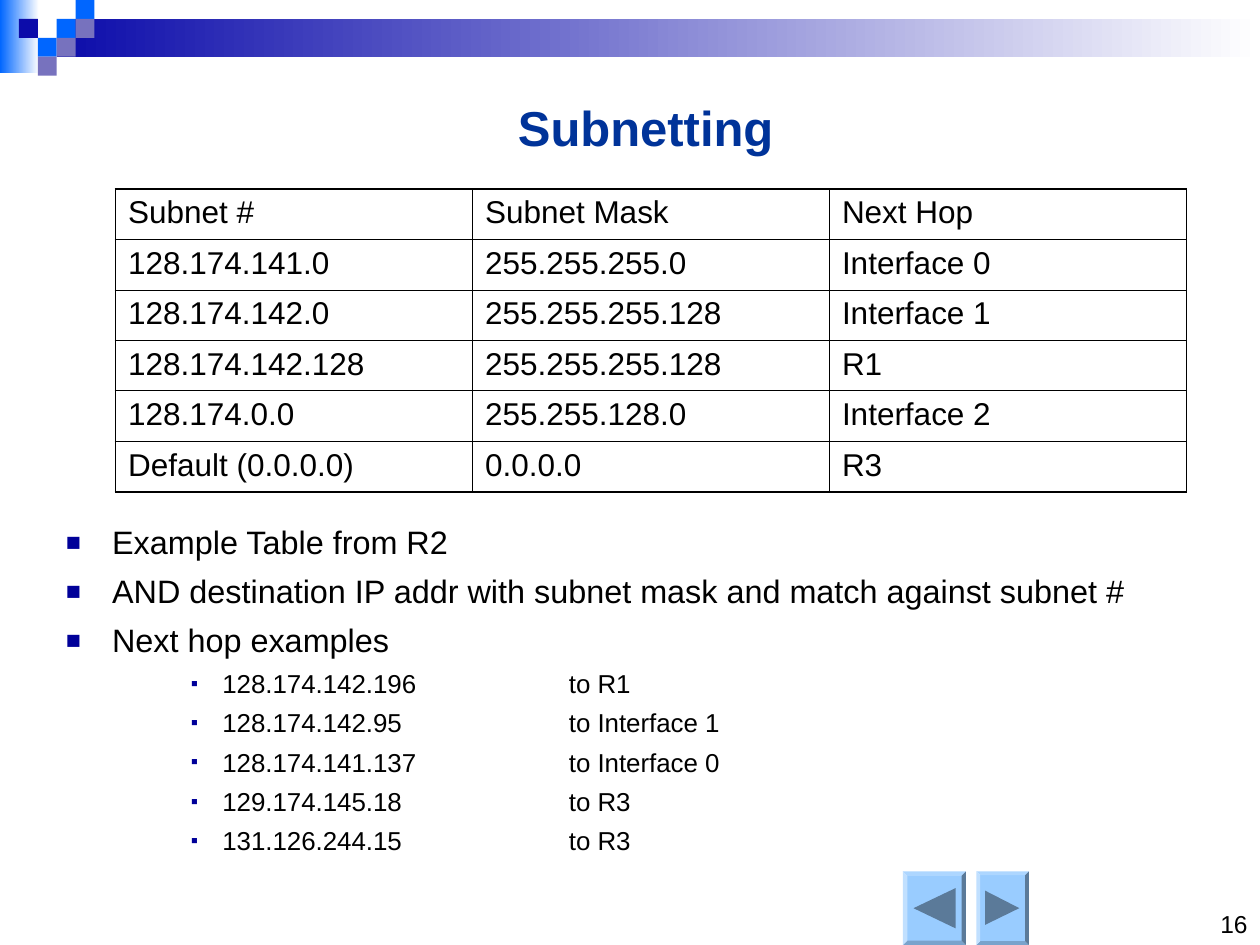
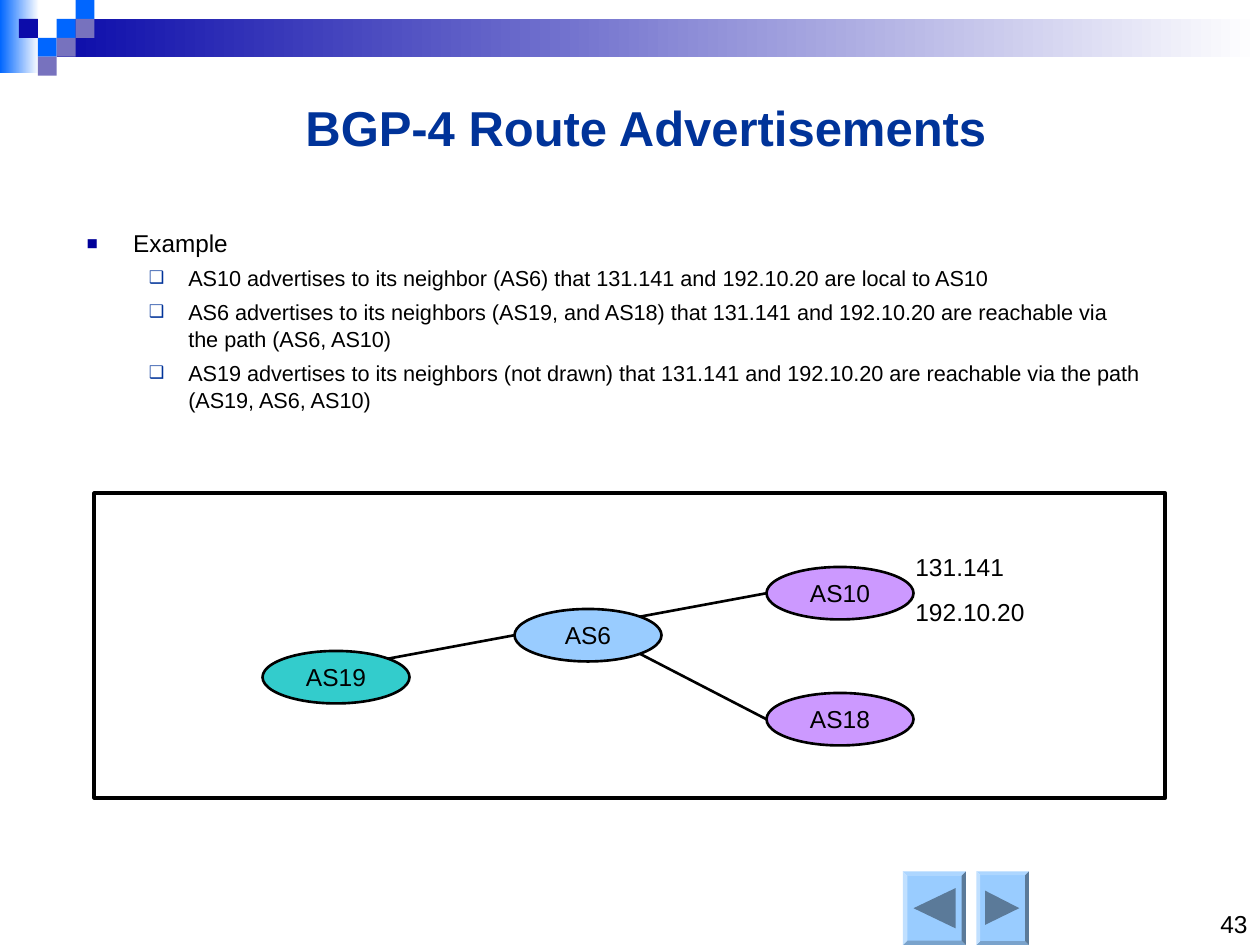
import math

from lxml import etree
from pptx import Presentation
from pptx.dml import color
from pptx.enum import shapes, text
from pptx.oxml import ns
from pptx.util import Pt

COLOURS = {
    "black": "000000",
    "white": "FFFFFF",
    "title": "003399",
    "bullet": "000099",
    "navy": "0C0CAA",
    "blue": "0066FF",
    "lilac": "7772BE",
    "sky": "99CCFF",
    "slate": "5B7A99",
    "violet": "CC99FF",
    "teal": "33CCCC",
}
FONT = "Arial"
GRID = 10.8
SQUARES = [
    (3, 1, "blue"), (4, 0, "blue"), (4, 1, "lilac"), (2, 2, "blue"),
    (1, 1, "navy"), (3, 2, "lilac"), (2, 3, "lilac"),
]
LEVELS = {
    "point": {"level": 0, "margin": 27, "hang": 27, "mark": "▪", "colour": "bullet", "scale": 150},
    "choice": {"level": 1, "margin": 58.5, "hang": 22.5, "mark": "❑", "colour": "title", "scale": 80},
    "detail": {"level": 2, "margin": 90, "hang": 18, "mark": "▪", "colour": "bullet", "scale": 80},
}
TAB_STOPS = [216, 288]
OVAL = (84, 30)


def rgb(name):
    return color.RGBColor.from_string(COLOURS[name])


def points(*values):
    return [Pt(value) for value in values]


def add_xml(parent, tag, **attributes):
    child = etree.SubElement(parent, ns.qn(tag))
    for key, value in attributes.items():
        child.set(key, str(value))
    return child


def apply(target, values):
    for key, value in values.items():
        setattr(target, key, value)


class SlideBuilder:
    def __init__(self):
        self.deck = Presentation()
        apply(self.deck, {"slide_width": Pt(720), "slide_height": Pt(540)})
        self.page = None

    def start_page(self, title, number):
        self.page = self.deck.slides.add_slide(self.deck.slide_layouts[6])
        self.gradient((0, 0, 22.3, 42), "blue")
        self.gradient((3 * GRID, GRID, 720 - 3 * GRID, 2 * GRID), "navy")
        for column, row, fill in SQUARES:
            self.shape((column * GRID, row * GRID, GRID, GRID), fill)
        self.button(516, 36, [(522, 519), (546, 507.5), (546, 530.5)])
        self.button(558, 30, [(563, 509), (582.5, 519), (563, 528.5)])
        self.textbox((594, 504, 126, 36), [number], 14, align="RIGHT", anchor="BOTTOM")
        self.textbox((42, 52, 654, 41), [title], 28, align="CENTER", anchor="MIDDLE",
                     colour="title", bold=True)

    def style_shape(self, shape, fill, line=None):
        shape.shadow.inherit = False
        shape.fill.solid()
        shape.fill.fore_color.rgb = rgb(fill)
        if line:
            shape.line.color.rgb = rgb("black")
            shape.line.width = Pt(line)
        else:
            shape.line.fill.background()
        return shape

    def shape(self, place, fill, kind="RECTANGLE", line=None):
        preset = getattr(shapes.MSO_SHAPE, kind)
        shape = self.page.shapes.add_shape(preset, *points(*place))
        return self.style_shape(shape, fill, line)

    def gradient(self, place, start):
        fill = self.shape(place, start).fill
        fill.gradient()
        fill.gradient_angle = 0
        for stop, name in zip(fill.gradient_stops, (start, "white")):
            stop.color.rgb = rgb(name)

    def button(self, left, width, corners):
        bevel = self.shape((left, 498, width, 42), "sky", "BEVEL")
        bevel.adjustments[0] = 0.07
        builder = self.page.shapes.build_freeform(*points(*corners[0]))
        builder.add_line_segments([points(*corner) for corner in corners[1:]], close=True)
        self.style_shape(builder.convert_to_shape(), "slate")

    def fill_para(self, para, words, size, align="LEFT", colour="black", bold=False, before=0):
        apply(para, {"alignment": getattr(text.PP_ALIGN, align), "space_before": Pt(before)})
        span = para.add_run()
        span.text = words
        apply(span.font, {"name": FONT, "size": Pt(size), "bold": bold})
        span.font.color.rgb = rgb(colour)

    def textbox(self, place, lines, size, anchor="TOP", **style):
        frame = self.page.shapes.add_textbox(*points(*place)).text_frame
        apply(frame, {"word_wrap": True, "vertical_anchor": getattr(text.MSO_ANCHOR, anchor)})
        for index, line in enumerate(lines):
            para = frame.add_paragraph() if index else frame.paragraphs[0]
            self.fill_para(para, line, size, **style)

    def bullets(self, place, items):
        frame = self.page.shapes.add_textbox(*points(*place)).text_frame
        frame.word_wrap = True
        for index, (level, size, before, words) in enumerate(items):
            para = frame.add_paragraph() if index else frame.paragraphs[0]
            self.fill_para(para, words, size, before=before)
            look = LEVELS[level]
            apply(para, {"level": look["level"], "line_spacing": 1.04})
            props = para._p.get_or_add_pPr()
            props.set("marL", str(Pt(look["margin"])))
            props.set("indent", str(-Pt(look["hang"])))
            add_xml(add_xml(props, "a:buClr"), "a:srgbClr", val=COLOURS[look["colour"]])
            add_xml(props, "a:buSzPct", val=look["scale"] * 1000)
            add_xml(props, "a:buFont", typeface=FONT)
            add_xml(props, "a:buChar", char=look["mark"])
            if "\t" in words:
                tabs = add_xml(props, "a:tabLst")
                for stop in TAB_STOPS:
                    add_xml(tabs, "a:tab", pos=Pt(stop), algn="l")

    def table(self, place, rows):
        last_row, last_column = len(rows) - 1, len(rows[0]) - 1
        grid = self.page.shapes.add_table(last_row + 1, last_column + 1, *points(*place)).table
        apply(grid, {"first_row": False, "horz_banding": False})
        for r, row in enumerate(rows):
            for c, words in enumerate(row):
                cell = grid.cell(r, c)
                outer = {"L": c == 0, "R": c == last_column, "T": r == 0, "B": r == last_row}
                self.borders(cell, outer)
                cell.fill.solid()
                cell.fill.fore_color.rgb = rgb("white")
                self.fill_para(cell.text_frame.paragraphs[0], words, 18)

    def borders(self, cell, outer):
        props = cell._tc.get_or_add_tcPr()
        for side, is_outer in outer.items():
            line = add_xml(props, f"a:ln{side}", w=Pt(1.08 if is_outer else 0.45))
            add_xml(add_xml(line, "a:solidFill"), "a:srgbClr", val=COLOURS["black"])

    def oval(self, left, top, fill, label):
        shape = self.shape((left, top, *OVAL), fill, "OVAL", 1.5)
        frame = shape.text_frame
        apply(frame, {"word_wrap": False, "vertical_anchor": text.MSO_ANCHOR.MIDDLE})
        self.fill_para(frame.paragraphs[0], label, 14, align="CENTER")

    def link(self, source, target, side):
        width, height = OVAL
        diagonal = math.sqrt(0.5)
        start = (source[0] + width / 2 * (1 + diagonal),
                 source[1] + height / 2 * (1 + side * diagonal))
        end = (target[0], target[1] + height / 2)
        line = self.page.shapes.add_connector(
            shapes.MSO_CONNECTOR.STRAIGHT, *points(*start, *end))
        line.line.color.rgb = rgb("black")
        line.line.width = Pt(1.5)
        add_xml(line._element.spPr, "a:effectLst")


def subnetting(builder):
    builder.start_page("Subnetting", "16")
    routes = [
        ("128.174.142.196", "R1"),
        ("128.174.142.95", "Interface 1"),
        ("128.174.141.137", "Interface 0"),
        ("129.174.145.18", "R3"),
        ("131.126.244.15", "R3"),
    ]
    main_points = [
        "Example Table from R2",
        "AND destination IP addr with subnet mask and match against subnet #",
        "Next hop examples",
    ]
    items = [("point", 18.5, 5, words) for words in main_points]
    items += [("detail", 14.8, 4, f"{address}\t\tto {hop}") for address, hop in routes]
    builder.bullets((30, 294, 672, 200), items)
    builder.table((66, 108, 612, 172.8), [
        ("Subnet #", "Subnet Mask", "Next Hop"),
        ("128.174.141.0", "255.255.255.0", "Interface 0"),
        ("128.174.142.0", "255.255.255.128", "Interface 1"),
        ("128.174.142.128", "255.255.255.128", "R1"),
        ("128.174.0.0", "255.255.128.0", "Interface 2"),
        ("Default (0.0.0.0)", "0.0.0.0", "R3"),
    ])


def route_advertisements(builder):
    builder.start_page("BGP-4 Route Advertisements", "43")
    adverts = [
        "AS10 advertises to its neighbor (AS6) that 131.141 and 192.10.20 are local to AS10",
        "AS6 advertises to its neighbors (AS19, and AS18) that 131.141 and 192.10.20 "
        "are reachable via the path (AS6, AS10)",
        "AS19 advertises to its neighbors (not drawn) that 131.141 and 192.10.20 "
        "are reachable via the path (AS19, AS6, AS10)",
    ]
    items = [("point", 13.9, 4.5, "Example")]
    items += [("choice", 12.4, 4, words) for words in adverts]
    builder.bullets((42, 126, 618, 114), items)
    builder.shape((54, 282, 612, 174), "white", line=2.25)
    systems = {
        "AS10": (438, 324, "violet"),
        "AS18": (438, 396, "violet"),
        "AS19": (150, 372, "teal"),
        "AS6": (294, 348, "sky"),
    }
    for label, place in systems.items():
        builder.oval(*place, label)
    for source, target, side in [("AS19", "AS6", -1), ("AS6", "AS18", 1), ("AS6", "AS10", -1)]:
        builder.link(systems[source], systems[target], side)
    builder.textbox((516, 312, 108, 50), ["131.141", "192.10.20"], 14, before=8.8)


def main():
    builder = SlideBuilder()
    subnetting(builder)
    route_advertisements(builder)
    builder.deck.save("out.pptx")


if __name__ == "__main__":
    main()
